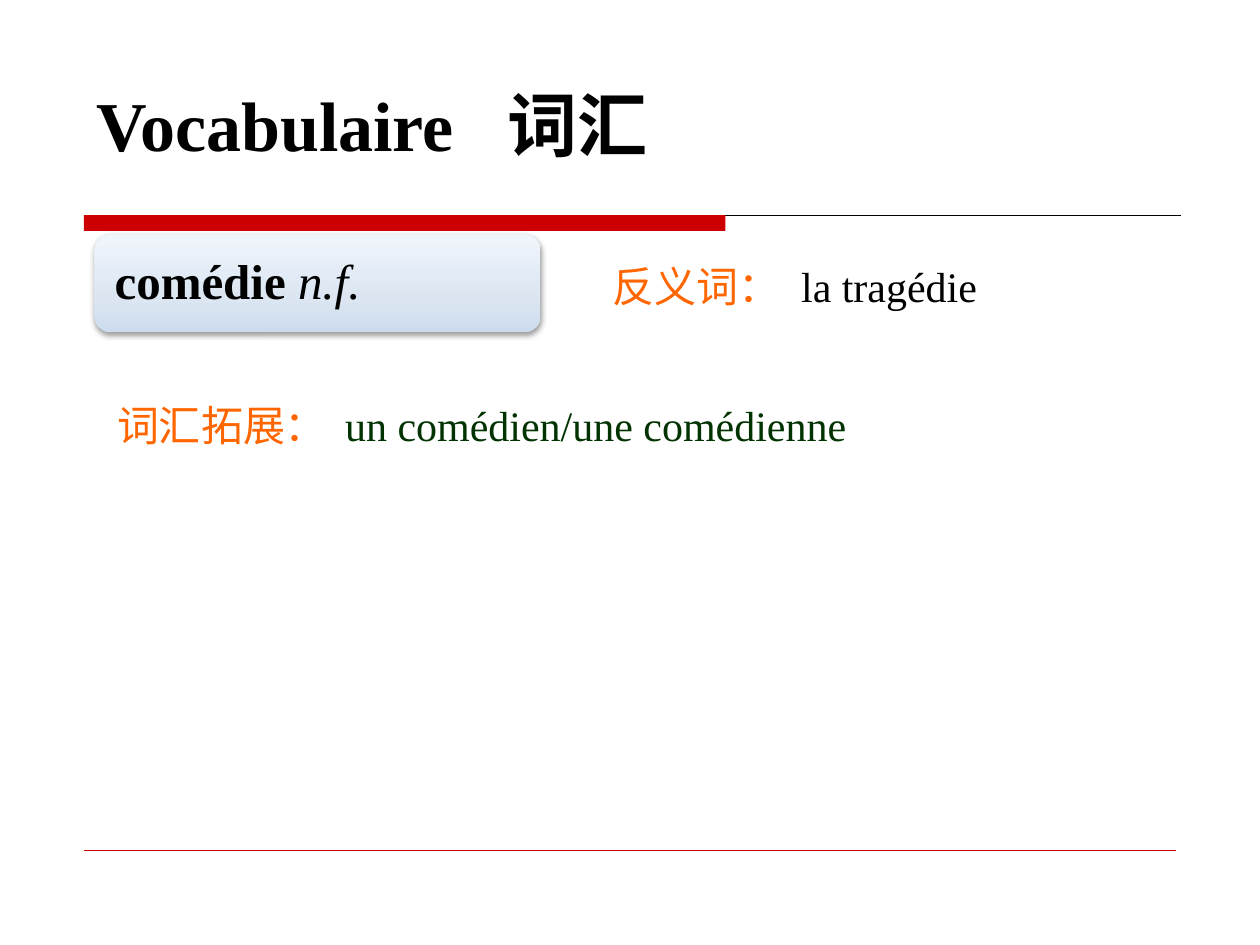
from lxml import etree
from pptx import Presentation
from pptx.dml.color import RGBColor
from pptx.enum.shapes import MSO_CONNECTOR, MSO_SHAPE
from pptx.enum.text import MSO_ANCHOR
from pptx.oxml import parse_xml
from pptx.oxml.ns import nsdecls, qn
from pptx.util import Pt

LATIN = "Times New Roman"
CJK = "Noto Sans CJK SC"
RED, ORANGE, GREEN, BLACK = "CC0000", "FF6600", "003300", "000000"


def rgb(value):
    return RGBColor.from_string(value)


class SlideBuilder:
    def __init__(self, slide):
        self.s = slide

    def bar(self, x, y, w, h, color):
        sp = self.s.shapes.add_shape(MSO_SHAPE.RECTANGLE, Pt(x), Pt(y), Pt(w), Pt(h))
        sp.shadow.inherit = False
        sp.fill.solid()
        sp.fill.fore_color.rgb = rgb(color)
        sp.line.fill.background()

    def rule(self, x1, x2, y, color, width):
        cn = self.s.shapes.add_connector(
            MSO_CONNECTOR.STRAIGHT, Pt(x1), Pt(y), Pt(x2), Pt(y))
        cn.line.color.rgb = rgb(color)
        cn.line.width = Pt(width)
        etree.SubElement(cn._element.spPr, qn("a:effectLst"))

    def card(self, x, y, w, h, stops):
        """Rounded card with an upward gradient and a soft shadow."""
        sp = self.s.shapes.add_shape(
            MSO_SHAPE.ROUNDED_RECTANGLE, Pt(x), Pt(y), Pt(w), Pt(h))
        sp.line.fill.background()
        gs = "".join(f'<a:gs pos="{pos * 1000}"><a:srgbClr val="{color}"/></a:gs>'
                     for pos, color in stops)
        fill = parse_xml(
            f'<a:gradFill {nsdecls("a")} rotWithShape="1"><a:gsLst>{gs}</a:gsLst>'
            '<a:lin ang="16200000" scaled="0"/></a:gradFill>')
        shadow = parse_xml(
            f'<a:effectLst {nsdecls("a")}><a:outerShdw blurRad="{Pt(3.1)}" '
            f'dist="{Pt(1.6)}" dir="5400000" rotWithShape="0"><a:srgbClr val="{BLACK}">'
            '<a:alpha val="38000"/></a:srgbClr></a:outerShdw></a:effectLst>')
        spPr = sp._element.spPr
        spPr.find(qn("a:prstGeom")).addnext(fill)
        spPr.append(shadow)

    def text(self, x, y, w, h, runs, size, color=BLACK, font=LATIN,
             inset=None, spacing=None, tab=None):
        """Runs are (text, bold, italic) tuples."""
        tf = self.s.shapes.add_textbox(Pt(x), Pt(y), Pt(w), Pt(h)).text_frame
        tf.word_wrap = True
        if inset is not None:
            tf.vertical_anchor = MSO_ANCHOR.MIDDLE
            tf.margin_left = tf.margin_right = Pt(inset)
            tf.margin_top = tf.margin_bottom = Pt(inset)
        p = tf.paragraphs[0]
        if tab:
            tabs = etree.SubElement(p._p.get_or_add_pPr(), qn("a:tabLst"))
            etree.SubElement(tabs, qn("a:tab"), pos=str(Pt(tab)), algn="l")
        if spacing:
            p.line_spacing = spacing
        for content, bold, italic in runs:
            r = p.add_run()
            r.text = content
            r.font.name = font
            r.font.size = Pt(size)
            r.font.bold = bold
            r.font.italic = italic
            r.font.color.rgb = rgb(color)
            ea = etree.Element(qn("a:ea"), typeface=CJK)
            r._r.rPr.find(qn("a:latin")).addnext(ea)


def main():
    prs = Presentation()
    prs.slide_width, prs.slide_height = Pt(720), Pt(540)
    b = SlideBuilder(prs.slides.add_slide(prs.slide_layouts[6]))

    # Header and footer rules
    b.rule(48, 675, 123, BLACK, 0.5)
    b.bar(48, 123, 366.5, 9, RED)
    b.rule(48, 672, 486, RED, 0.25)

    # Title
    b.text(48, 43.2, 561.6, 55.4, [("Vocabulaire\t词汇", True, False)], 40, tab=235)

    # Headword card
    b.card(54, 134, 255, 56, [(0, "CCDCEE"), (35, "DBE6F2"), (100, "F0F5FB")])
    b.text(56.9, 136.8, 249.8, 50.4,
           [("comédie ", True, False), ("n.f.", False, True)],
           28, inset=8.64, spacing=0.9)

    # Antonym and related words: label, then answer
    entries = [
        (145.4, 342.7, 130.3, "反义词：", 450.7, 245, "la tragédie", BLACK),
        (224.6, 59.8, 141.8, "词汇拓展：", 190.1, 308.9,
         "un comédien/une comédienne", GREEN),
    ]
    for y, label_x, label_w, label, x, w, answer, color in entries:
        b.text(label_x, y, label_w, 36.7, [(label, False, False)], 24, ORANGE, CJK)
        b.text(x, y, w, 36.7, [(answer, False, False)], 24, color)

    prs.save("out.pptx")


if __name__ == "__main__":
    main()
